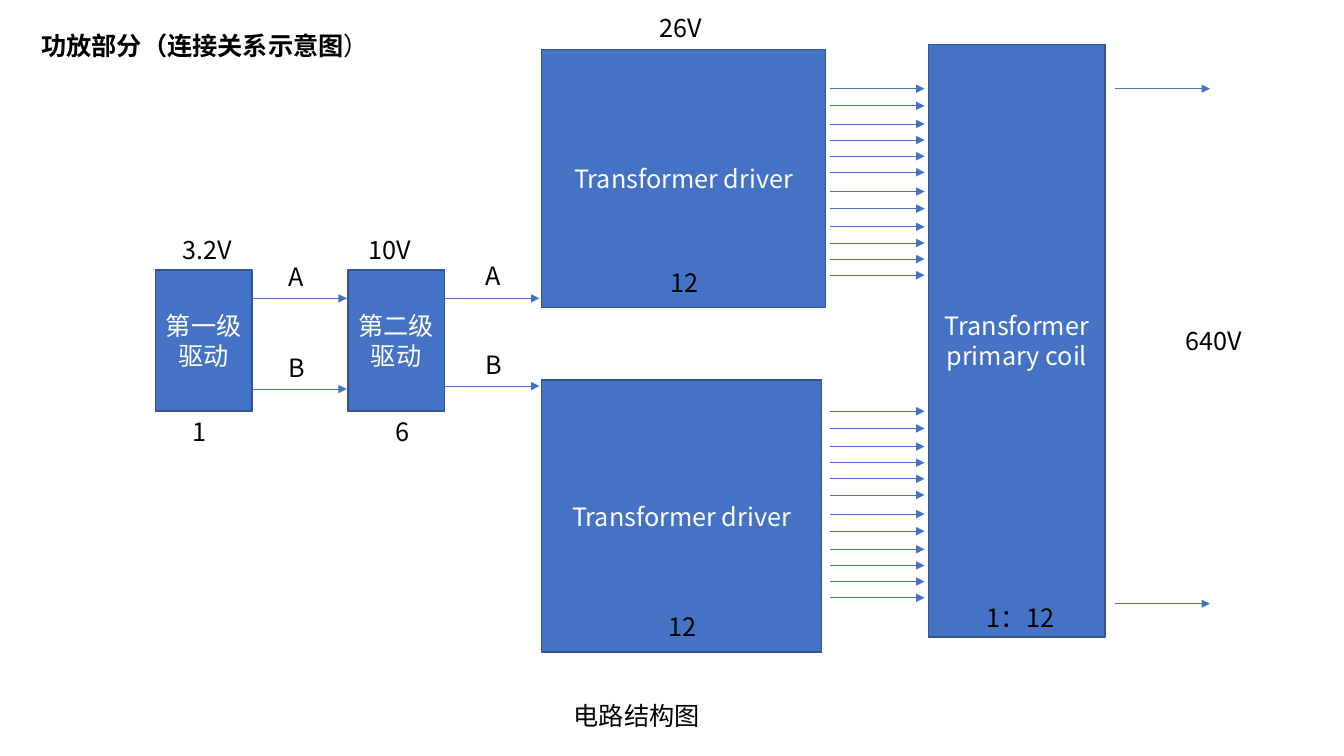
from lxml.etree import SubElement
from pptx import Presentation
from pptx.dml.color import RGBColor
from pptx.enum.shapes import MSO_CONNECTOR, MSO_SHAPE
from pptx.enum.text import MSO_ANCHOR, MSO_AUTO_SIZE, PP_ALIGN
from pptx.oxml.ns import qn
from pptx.util import Inches, Pt

COLORS = {"block": "4472C4", "border": "325491", "text": "000000", "light": "FFFFFF"}
FONT = "Noto Sans CJK SC"
ARROW_LENGTH = 0.94
LABEL_HEIGHT = 0.4
GROUP_OFFSETS = (0, 0.17, 0.35, 0.51, 0.67, 0.83)
GROUP_PITCH = 1.02


def rgb(name):
    """Return a palette colour."""
    return RGBColor.from_string(COLORS[name])


def format_run(r, color="text", bold=False):
    """Apply the slide font to a run."""
    r.font.size = Pt(18)
    r.font.bold = bold
    r.font.name = FONT
    r.font.color.rgb = rgb(color)
    SubElement(r._r.get_or_add_rPr(), qn("a:ea"), typeface=FONT)


def add_label(s, x, y, w, text, align=PP_ALIGN.LEFT):
    """Add a one-line text label."""
    sp = s.shapes.add_textbox(Inches(x), Inches(y), Inches(w), Inches(LABEL_HEIGHT))
    tf = sp.text_frame
    tf.word_wrap = True
    tf.auto_size = MSO_AUTO_SIZE.SHAPE_TO_FIT_TEXT
    tf.text = text
    p = tf.paragraphs[0]
    p.alignment = align
    format_run(p.runs[0])


def add_block(s, box, text):
    """Add a filled block with centred text."""
    sp = s.shapes.add_shape(MSO_SHAPE.RECTANGLE, *map(Inches, box))
    sp.shadow.inherit = False
    sp.fill.solid()
    sp.fill.fore_color.rgb = rgb("block")
    sp.line.color.rgb = rgb("border")
    sp.line.width = Pt(1)
    tf = sp.text_frame
    tf.word_wrap = True
    tf.vertical_anchor = MSO_ANCHOR.MIDDLE
    tf.text = text
    p = tf.paragraphs[0]
    p.alignment = PP_ALIGN.CENTER
    for r in p.runs:
        format_run(r, "light")


def add_arrow(s, x, y):
    """Add a horizontal signal arrow pointing right."""
    line = s.shapes.add_connector(
        MSO_CONNECTOR.STRAIGHT, Inches(x), Inches(y), Inches(x + ARROW_LENGTH), Inches(y))
    line.line.color.rgb = rgb("block")
    line.line.width = Pt(0.5)
    SubElement(line.line._get_or_add_ln(), qn("a:tailEnd"), type="triangle")
    SubElement(line._element.spPr, qn("a:effectLst"))


def add_title(s, x, y, w):
    """Place and format the slide title."""
    sp = s.shapes.title
    sp.left, sp.top, sp.width, sp.height = map(Inches, (x, y, w, LABEL_HEIGHT))
    tf = sp.text_frame
    tf.word_wrap = True
    tf.auto_size = MSO_AUTO_SIZE.NONE
    tf.vertical_anchor = MSO_ANCHOR.TOP
    p = tf.paragraphs[0]
    p.alignment = PP_ALIGN.LEFT
    for text, bold in (("功放部分（连接关系示意图", True), ("）", False)):
        r = p.add_run()
        r.text = text
        format_run(r, bold=bold)


def add_stage(s, box, name, voltage, count, outputs):
    """Draw a drive stage with its voltage, count and A/B outputs."""
    x, y, w, h = box
    add_block(s, box, name)
    add_label(s, x + voltage[1], y - LABEL_HEIGHT, 0.74, voltage[0])
    add_label(s, x + count[1], y + h, 0.43, count[0])
    for signal, arrow_dy, label_dx, label_dy in outputs:
        add_arrow(s, x + w, y + arrow_dy)
        add_label(s, x + w + label_dx, y + label_dy, 0.43, signal)


def add_driver(s, box, first_output):
    """Draw a transformer driver with twelve output arrows."""
    x, y, w, h = box
    add_block(s, box, "Transformer driver")
    add_label(s, x + w / 2 - 0.23, y + h - 0.45, 0.52, "12")
    for group in range(2):
        for offset in GROUP_OFFSETS:
            add_arrow(s, 8.23, first_output + group * GROUP_PITCH + offset)


def add_coil(s, box):
    """Draw the primary coil with its ratio and output voltage."""
    x, y, w, h = box
    add_block(s, box, "Transformer\vprimary coil")
    add_label(s, x + 0.48, y + h - 0.39, 1.1, "1：12")
    for dy in (0.44, 5.55):
        add_arrow(s, x + w + 0.1, y + dy)
    add_label(s, x + w + 0.7, y + 2.74, 0.94, "640V")


def main():
    """Build the amplifier connection diagram."""
    prs = Presentation()
    prs.slide_width, prs.slide_height = Inches(13.33), Inches(7.5)
    s = prs.slides.add_slide(prs.slide_layouts[5])
    add_title(s, 0.31, 0.25, 6.67)
    add_stage(s, (1.54, 2.68, 0.96, 1.4), "第一级驱动", ("3.2V", 0.17), ("1", 0.27),
              (("A", 0.28, 0.26, -0.14), ("B", 1.18, 0.26, 0.77)))
    add_stage(s, (3.45, 2.68, 0.96, 1.4), "第二级驱动", ("10V", 0.11), ("6", 0.37),
              (("A", 0.28, 0.31, -0.15), ("B", 1.15, 0.31, 0.74)))
    add_label(s, 6.44, 0.07, 0.74, "26V")
    add_driver(s, (5.37, 0.49, 2.82, 2.56), 0.88)
    add_driver(s, (5.37, 3.77, 2.78, 2.7), 4.08)
    add_coil(s, (9.21, 0.44, 1.75, 5.88))
    add_label(s, 2.98, 6.9, 6.67, "电路结构图", PP_ALIGN.CENTER)
    prs.save("out.pptx")


if __name__ == "__main__":
    main()
